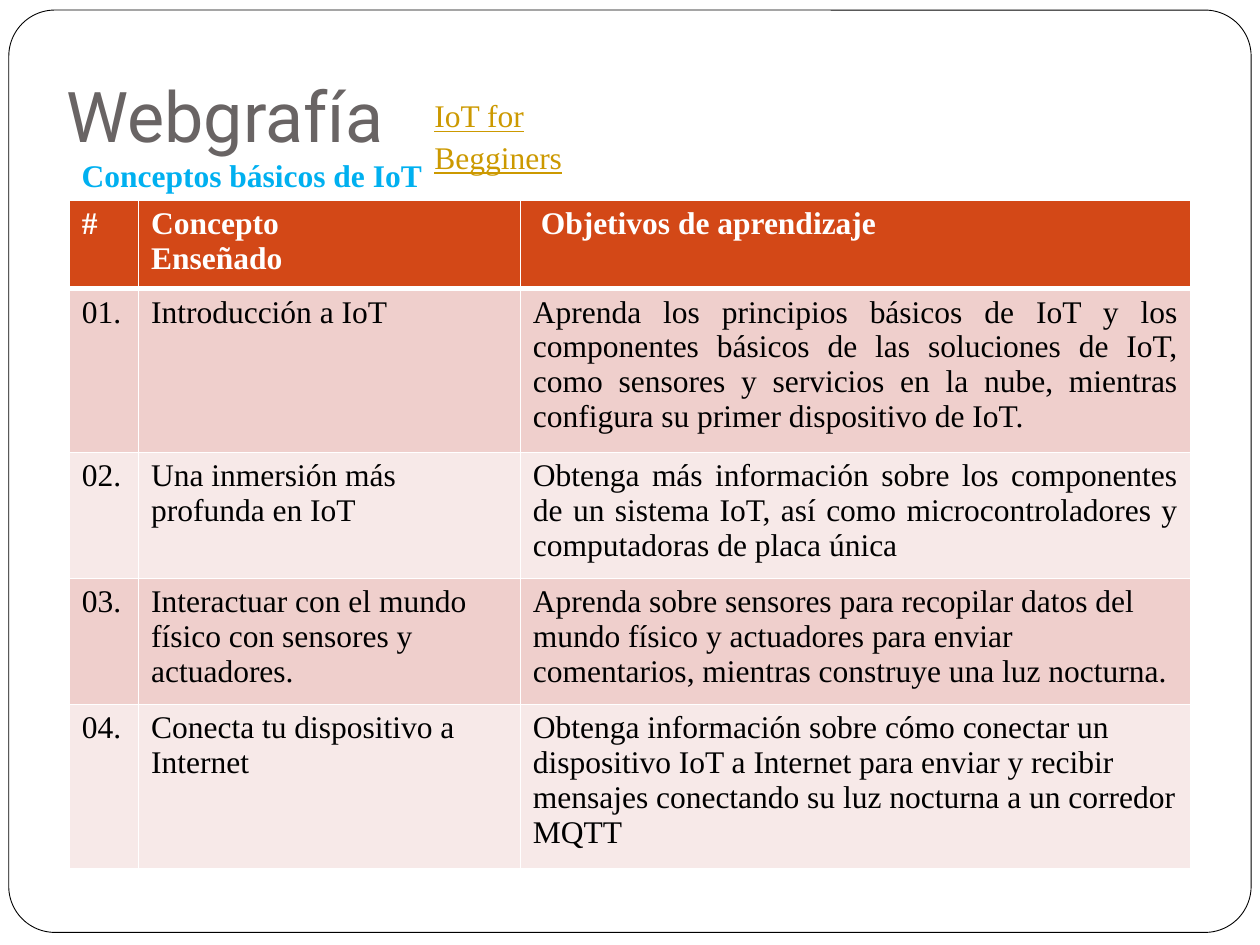
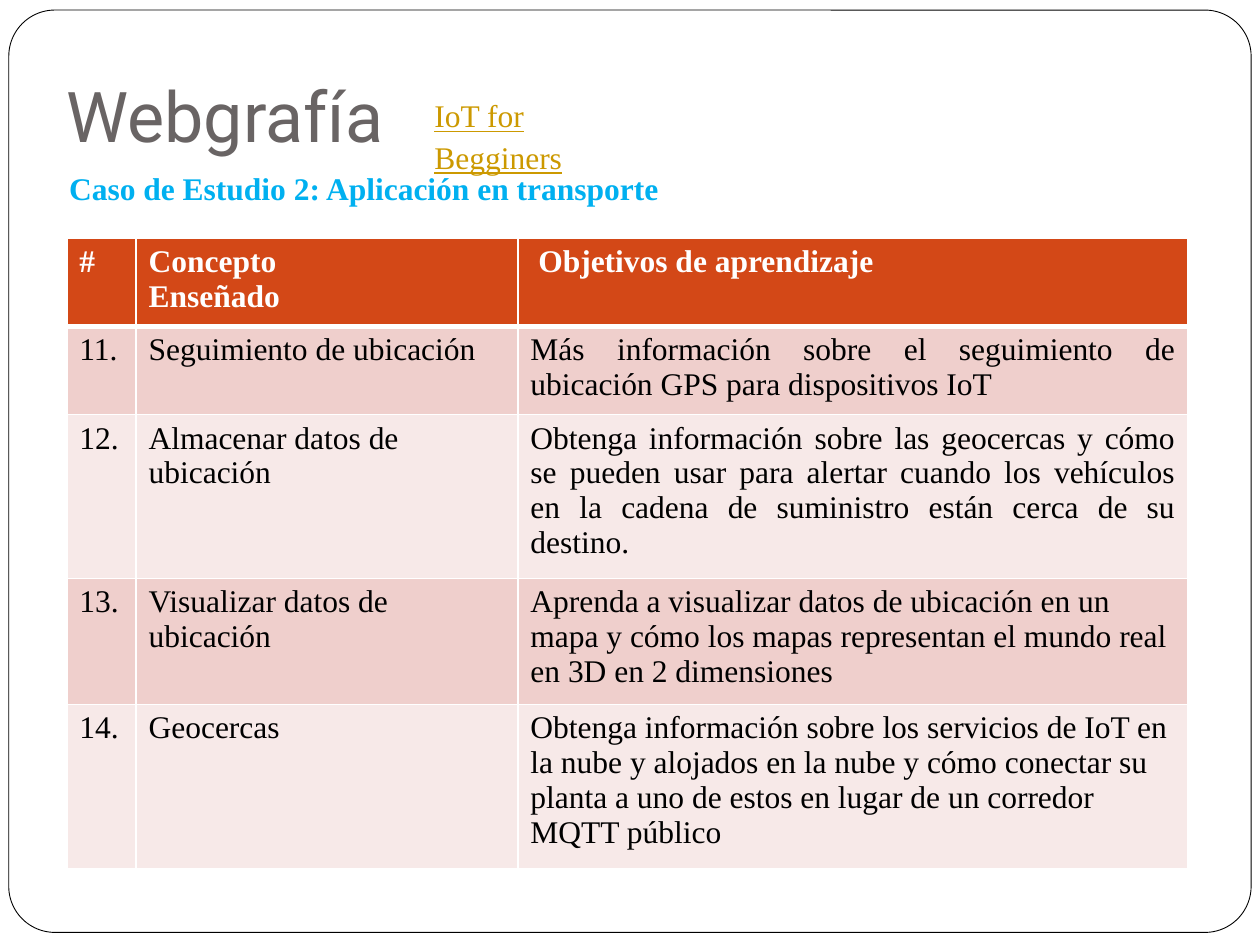
from dataclasses import dataclass
from lxml.etree import SubElement
from pptx import Presentation
from pptx.dml.color import RGBColor
from pptx.enum.shapes import MSO_SHAPE
from pptx.enum.text import MSO_ANCHOR, PP_ALIGN
from pptx.oxml.ns import qn
from pptx.util import Inches, Pt


@dataclass(frozen=True)
class Theme:
    white: str = "FFFFFF"
    black: str = "000000"
    title: str = "696464"
    link: str = "CC9900"
    subtitle: str = "00B0F0"
    header: str = "D34817"
    bands: tuple = ("EFCFCC", "F7E9E8")
    title_font: str = "Roboto"
    body_font: str = "Times New Roman"
    title_size: int = 40
    body_size: int = 18
    grid: float = 1
    header_rule: float = 3


T = Theme()
COLUMNS = (0.55, 3.03, 5.32)
HEADERS = ("#", "Concepto\nEnseñado", " Objetivos de aprendizaje")
HEADER_HEIGHT = 0.69
JUSTIFIED_ROWS = (1, 2)

SLIDES = [
    {
        "subtitle": "Conceptos básicos de IoT",
        "subtitle_box": (0.55, 1.19, 2.91, 0.4),
        "subtitle_wrap": False,
        "table_at": (0.55, 1.59),
        "heights": (1.3, 1, 1, 1.3),
        "rows": [
            ("01.", "Introducción a IoT",
             "Aprenda los principios básicos de IoT y los componentes básicos de las "
             "soluciones de IoT, como sensores y servicios en la nube, mientras "
             "configura su primer dispositivo de IoT."),
            ("02.", "Una inmersión más profunda en IoT",
             "Obtenga más información sobre los componentes de un sistema IoT, así "
             "como microcontroladores y computadoras de placa única"),
            ("03.", "Interactuar con el mundo físico con sensores y actuadores.",
             "Aprenda sobre sensores para recopilar datos del mundo físico y "
             "actuadores para enviar comentarios, mientras construye una luz nocturna."),
            ("04.", "Conecta tu dispositivo a Internet",
             "Obtenga información sobre cómo conectar un dispositivo IoT a Internet "
             "para enviar y recibir mensajes conectando su luz nocturna a un corredor "
             "MQTT"),
        ],
    },
    {
        "subtitle": "Caso de Estudio 2: Aplicación en transporte",
        "subtitle_box": (0.45, 1.29, 5, 0.4),
        "subtitle_wrap": True,
        "table_at": (0.53, 1.89),
        "heights": (0.7, 1.3, 1, 1.3),
        "rows": [
            ("11.", "Seguimiento de ubicación",
             "Más información sobre el seguimiento de ubicación GPS para "
             "dispositivos IoT"),
            ("12.", "Almacenar datos de ubicación",
             "Obtenga información sobre las geocercas y cómo se pueden usar para "
             "alertar cuando los vehículos en la cadena de suministro están cerca de "
             "su destino."),
            ("13.", "Visualizar datos de ubicación",
             "Aprenda a visualizar datos de ubicación en un mapa y cómo los mapas "
             "representan el mundo real en 3D en 2 dimensiones"),
            ("14.", "Geocercas",
             "Obtenga información sobre los servicios de IoT en la nube y alojados en "
             "la nube y cómo conectar su planta a uno de estos en lugar de un "
             "corredor MQTT público"),
        ],
    },
]


def rgb(value):
    return RGBColor.from_string(value)


def set_attrs(obj, values):
    for name, value in values.items():
        setattr(obj, name, value)


def write(tf, text, color, font=T.body_font, size=T.body_size, align=None,
          spacing=None, **style):
    tf.text = text
    for p in tf.paragraphs:
        set_attrs(p, {"alignment": align, "line_spacing": spacing})
        for r in p.runs:
            set_attrs(r.font, {"name": font, "size": Pt(size), **style})
            r.font.color.rgb = rgb(color)


def add_text(slide, box, text, color, wrap=True, frame=None, **style):
    tf = slide.shapes.add_textbox(*map(Inches, box)).text_frame
    set_attrs(tf, {"word_wrap": wrap, **(frame or {})})
    write(tf, text, color, **style)


def add_frame(slide):
    sp = slide.shapes.add_shape(MSO_SHAPE.ROUNDED_RECTANGLE,
                                *map(Inches, (0.07, 0.08, 9.86, 7.32)))
    sp.adjustments[0] = 0.05
    sp.shadow.inherit = False
    sp.fill.solid()
    sp.fill.fore_color.rgb = rgb(T.white)
    sp.line.color.rgb = rgb(T.black)
    sp.line.width = Pt(0.5)


def add_borders(cell, top, bottom):
    tcPr = cell._tc.get_or_add_tcPr()
    widths = {"lnL": T.grid, "lnR": T.grid, "lnT": top, "lnB": bottom}
    for side, width in widths.items():
        ln = SubElement(tcPr, qn(f"a:{side}"), w=str(Pt(width)))
        SubElement(SubElement(ln, qn("a:solidFill")), qn("a:srgbClr"), val=T.white)


def fill_cell(cell, text, row, col):
    is_header = row == 0
    add_borders(cell, T.header_rule if row == 1 else T.grid,
                T.header_rule if is_header else T.grid)
    cell.fill.solid()
    cell.fill.fore_color.rgb = rgb(T.header if is_header else T.bands[(row - 1) % 2])
    justified = col == 2 and row in JUSTIFIED_ROWS
    write(cell.text_frame, text, T.white if is_header else T.black, bold=is_header,
          align=PP_ALIGN.JUSTIFY if justified else None)


def add_concept_table(slide, at, heights, rows):
    heights = (HEADER_HEIGHT, *heights)
    size = (sum(COLUMNS), sum(heights))
    table = slide.shapes.add_table(len(heights), len(COLUMNS),
                                   *map(Inches, (*at, *size))).table
    for column, width in zip(table.columns, COLUMNS):
        column.width = Inches(width)
    for i, (height, texts) in enumerate(zip(heights, [HEADERS, *rows])):
        table.rows[i].height = Inches(height)
        for j, text in enumerate(texts):
            fill_cell(table.cell(i, j), text, i, j)


def add_webgraphy_slide(prs, content):
    slide = prs.slides.add_slide(prs.slide_layouts[6])
    add_frame(slide)
    add_text(slide, (0.43, 0.44, 3.05, 0.9), "Webgrafía", T.title,
             font=T.title_font, size=T.title_size,
             frame={"vertical_anchor": MSO_ANCHOR.BOTTOM,
                    "margin_bottom": Inches(0.1)})
    add_text(slide, (3.35, 0.69, 1.97, 0.4), "IoT for Begginers", T.link,
             underline=True, spacing=1.09)
    add_concept_table(slide, content["table_at"], content["heights"], content["rows"])
    add_text(slide, content["subtitle_box"], content["subtitle"], T.subtitle,
             wrap=content["subtitle_wrap"], bold=True)


def main():
    prs = Presentation()
    set_attrs(prs, {"slide_width": Inches(10), "slide_height": Inches(7.5)})
    for content in SLIDES:
        add_webgraphy_slide(prs, content)
    prs.save("out.pptx")


if __name__ == "__main__":
    main()
